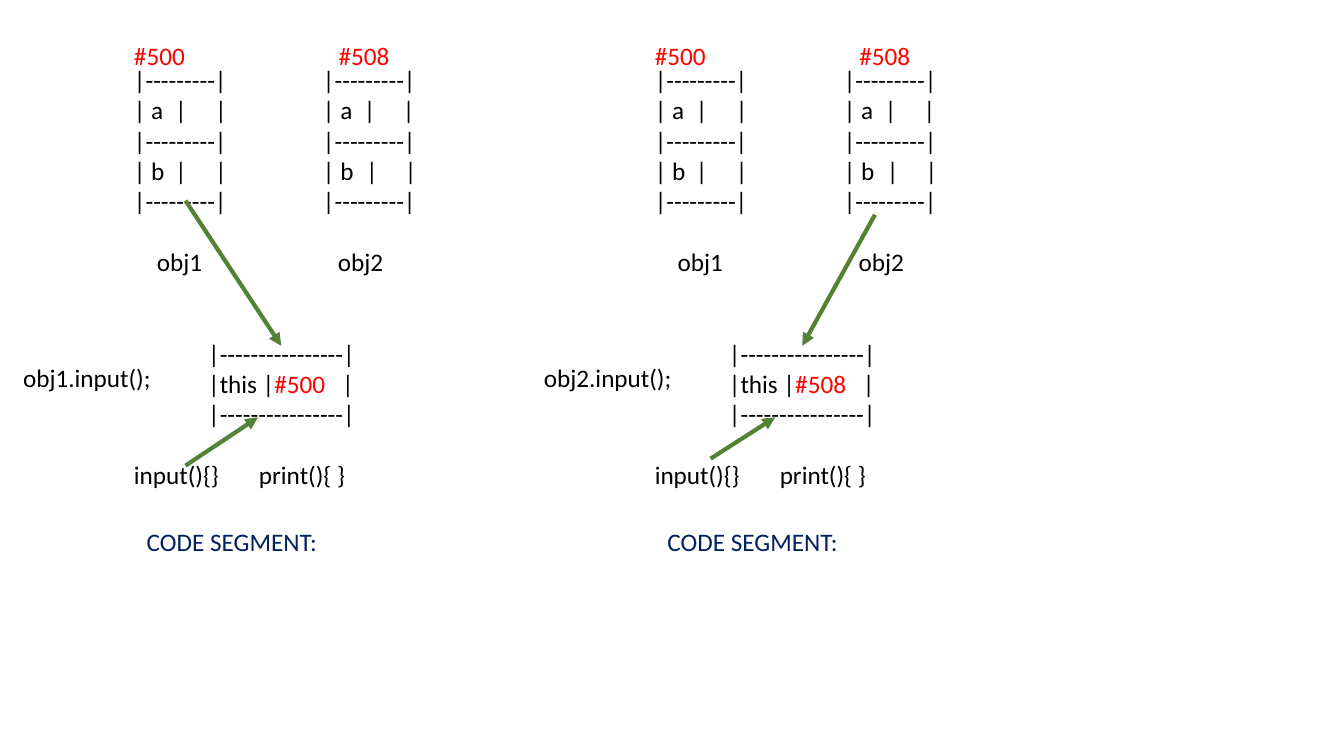
from lxml.etree import SubElement
from pptx import Presentation
from pptx.dml.color import RGBColor
from pptx.enum.shapes import MSO_CONNECTOR
from pptx.enum.text import MSO_AUTO_SIZE
from pptx.oxml.ns import qn
from pptx.util import Pt

BLACK, RED, NAVY, GREEN = "000000", "FF0000", "002060", "548235"
LINE_HEIGHT = 22
PANEL_STEP = 372


def color(hex_code):
    """Turn a hex string into a colour."""
    return RGBColor.from_string(hex_code)


class SlideWriter:
    """Holds the text and arrow style together with the current slide."""

    font, size, arrow_width = "Calibri", 18, 3

    def __init__(self, slide):
        """Keep the slide that receives the elements."""
        self.slide = slide

    def text(self, left, top, width, height, lines, wrap=True):
        """Add a text box; a line is (runs, tab stops, blank lines above)."""
        box = self.slide.shapes.add_textbox(Pt(left), Pt(top), Pt(width), Pt(height))
        frame = box.text_frame
        frame.word_wrap = wrap
        frame.auto_size = MSO_AUTO_SIZE.SHAPE_TO_FIT_TEXT
        for index, (runs, stops, gap) in enumerate(lines):
            paragraph = frame.add_paragraph() if index else frame.paragraphs[0]
            paragraph.space_before = Pt(gap * LINE_HEIGHT)
            self.tab_stops(paragraph, stops)
            for words, hex_code in runs:
                run = paragraph.add_run()
                run.text = words
                run.font.name, run.font.size = self.font, Pt(self.size)
                run.font.color.rgb = color(hex_code)

    def label(self, left, top, width, words, hex_code=BLACK, wrap=True):
        """Add a text box with a single line."""
        self.text(left, top, width, 29, [([(words, hex_code)], (), 0)], wrap)

    def tab_stops(self, paragraph, stops):
        """Set left tab stops on a paragraph."""
        if stops:
            tab_list = SubElement(paragraph._p.get_or_add_pPr(), qn("a:tabLst"))
            for stop in stops:
                SubElement(tab_list, qn("a:tab"), pos=str(Pt(stop)), algn="l")

    def arrow(self, start, end):
        """Add a straight arrow with its head at the end point."""
        line = self.slide.shapes.add_connector(
            MSO_CONNECTOR.STRAIGHT, *(Pt(value) for value in start + end))
        line.line.color.rgb = color(GREEN)
        line.line.width = Pt(self.arrow_width)
        SubElement(line.line._get_or_add_ln(), qn("a:tailEnd"), type="triangle")
        SubElement(line._element.spPr, qn("a:effectLst"))


def memory_lines(address):
    """Return the lines of the memory layout, with `this` holding the address."""
    border = ([("|---------|\t|---------|", BLACK)], (135,), 0)
    fields = [([(f"| {name}\t|\t|\t| {name}\t|\t|", BLACK)],
               (29.3, 58, 135, 164.3 + shift, 192 + shift), 0)
              for name, shift in (("a", 0), ("b", 1.5))]
    names = ([("\tobj1\tobj2", BLACK)], (16.4, 145.7), 1)
    this_border = "\t|----------------|"
    this_row = [("\t|this |", BLACK), (address, RED), ("\t|", BLACK)]
    return [
        border, fields[0], border, fields[1], border, names,
        ([(this_border, BLACK)], (53,), 2),
        (this_row, (53, 148.6), 0),
        ([(this_border, BLACK)], (53,), 0),
        ([("input(){}\tprint(){ }", BLACK)], (89.3,), 1),
    ]


def draw_panel(writer, left, caller, address, arrows):
    """Draw the memory picture of one call."""
    writer.text(left + 88.6, 42.5, 480, 312.5, memory_lines(address))
    writer.label(left + 9.4, 255, 123, f"{caller}.input();")
    writer.label(left + 88.6, 25.2, 60, "#500", RED)
    writer.label(left + 234.7, 25.2, 60, "#508", RED)
    writer.label(left + 97.7, 372.2, 137.5, "CODE SEGMENT:", NAVY, wrap=False)
    for start, end in arrows:
        writer.arrow(start, end)


presentation = Presentation()
presentation.slide_width, presentation.slide_height = Pt(960), Pt(540)
writer = SlideWriter(presentation.slides.add_slide(presentation.slide_layouts[6]))

calls = [
    ("obj1", "#500", [((132.5, 332.6), (184.3, 298.1)), ((132.5, 143.3), (200.9, 247))]),
    ("obj2", "#508", [((507.6, 327.6), (553.7, 298.1)), ((625, 153.4), (573.1, 247))]),
]
for position, (caller, address, arrows) in enumerate(calls):
    draw_panel(writer, position * PANEL_STEP, caller, address, arrows)

presentation.save("out.pptx")
